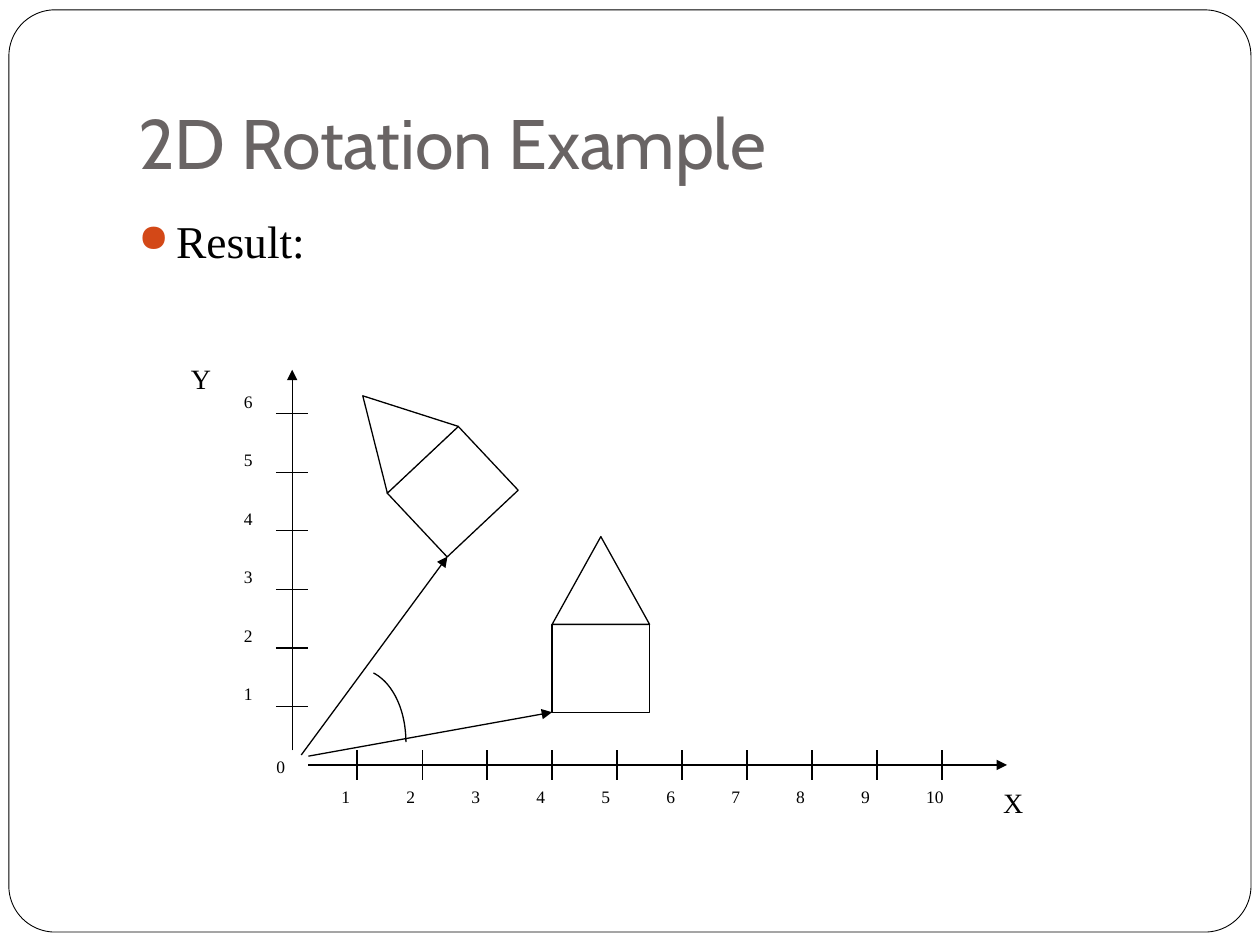
from dataclasses import dataclass

from pptx import Presentation
from pptx import util as u
from pptx.dml.color import RGBColor
from pptx.enum import shapes, text
from pptx.oxml import ns, xmlchemy

Cm, Pt = u.Cm, u.Pt
BLACK = RGBColor(0, 0, 0)
WHITE = RGBColor(0xFF, 0xFF, 0xFF)
GREY = RGBColor(0x69, 0x64, 0x64)
ORANGE = RGBColor(0xD3, 0x48, 0x17)
SERIF = "Times New Roman"
RECT = shapes.MSO_SHAPE.RECTANGLE
ROOF = shapes.MSO_SHAPE.ISOSCELES_TRIANGLE

# Graph units: origin and steps in cm
LEFT, BASE = 5.89, 15.42
STEP_X, STEP_Y = 1.31, 1.18
SIDE = 1.5
TICK = 0.25


@dataclass
class Line:
    x1: float
    y1: float
    x2: float
    y2: float
    arrow: bool = False


@dataclass
class Label:
    words: str
    x: float
    y: float
    size: float = 10


@dataclass
class Part:
    kind: shapes.MSO_SHAPE
    x: float  # centre, in graph units
    y: float
    turn: float = 0


def spot(x: float, y: float) -> tuple[int, int]:
    """Turn graph units into a place on the slide."""
    return Cm(LEFT + STEP_X * x), Cm(BASE - STEP_Y * y)


def add_xml(parent, tag: str, **attrs: str):
    child = xmlchemy.OxmlElement(tag)
    for key, value in attrs.items():
        child.set(key, value)
    parent.append(child)
    return child


def style(shape, width: float = 0.75) -> None:
    shape.shadow.inherit = False
    shape.fill.solid()
    shape.fill.fore_color.rgb = WHITE
    shape.line.color.rgb = BLACK
    shape.line.width = Pt(width)


def draw_text(slide, words: str, box: tuple, size: float,
              font: str = SERIF, color: RGBColor = BLACK):
    shape = slide.shapes.add_textbox(*box)
    frame = shape.text_frame
    frame.word_wrap = True
    frame.text = words
    face = frame.paragraphs[0].runs[0].font
    face.name, face.size, face.color.rgb = font, Pt(size), color
    return frame


def draw_label(slide, label: Label) -> None:
    box = (*spot(label.x, label.y), Cm(1.6), Cm(1))
    draw_text(slide, label.words, box, label.size)


def draw_line(slide, line: Line) -> None:
    item = slide.shapes.add_connector(
        shapes.MSO_CONNECTOR.STRAIGHT,
        *spot(line.x1, line.y1), *spot(line.x2, line.y2))
    item.line.color.rgb = BLACK
    item.line.width = Pt(0.75)
    props = item.element.find(ns.qn("p:spPr"))
    if line.arrow:
        add_xml(props.find(ns.qn("a:ln")), "a:tailEnd", type="triangle")
    add_xml(props, "a:effectLst")


def draw_part(slide, part: Part) -> None:
    half = SIDE / 2
    box = (*spot(part.x - half, part.y + half),
           Cm(SIDE * STEP_X), Cm(SIDE * STEP_Y))
    shape = slide.shapes.add_shape(part.kind, *box)
    shape.rotation = part.turn
    style(shape)


def draw_curve(slide, ends: list[tuple[float, float]], count: int = 24) -> None:
    """Draw a cubic curve through its four control points."""
    points = []
    for i in range(count + 1):
        t = i / count
        mix = ((1 - t) ** 3, 3 * t * (1 - t) ** 2, 3 * t * t * (1 - t), t ** 3)
        x = sum(m * p[0] for m, p in zip(mix, ends))
        y = sum(m * p[1] for m, p in zip(mix, ends))
        points.append(spot(x, y))
    maker = slide.shapes.build_freeform(*points[0])
    maker.add_line_segments(points[1:], close=False)
    shape = maker.convert_to_shape()
    style(shape)
    shape.fill.background()


def draw_head(slide) -> None:
    # Frame
    frame = slide.shapes.add_shape(
        shapes.MSO_SHAPE.ROUNDED_RECTANGLE,
        Cm(0.18), Cm(0.2), Cm(25.04), Cm(18.59))
    frame.adjustments[0] = 0.05
    style(frame, 0.5)

    # Bullet line
    body = draw_text(slide, "Result:",
                     (Cm(2.54), Cm(4.01), Cm(21.59), Cm(12.7)), 26)
    body.margin_top = Cm(0.28)
    props = body.paragraphs[0]._p.get_or_add_pPr()
    props.set("marL", str(Cm(0.76)))
    props.set("indent", str(Cm(-0.76)))
    tint = add_xml(props, "a:buClr")
    add_xml(tint, "a:srgbClr", val=str(ORANGE))
    add_xml(props, "a:buSzPct", val="85000")
    add_xml(props, "a:buChar", char="●")

    # Title
    title = draw_text(slide, "2D Rotation Example",
                      (Cm(2.54), Cm(0.76), Cm(21.59), Cm(3.18)),
                      40, "Cabin", GREY)
    title.vertical_anchor = text.MSO_ANCHOR.BOTTOM
    title.margin_bottom = Cm(0.25)


def draw_axes(slide) -> None:
    lines = [Line(0, TICK, 0, 6.75, True), Line(TICK, 0, 11, 0, True)]
    lines += [Line(n, TICK, n, -TICK) for n in range(1, 11)]
    lines += [Line(-TICK, n, TICK, n) for n in range(1, 7)]
    for line in lines:
        draw_line(slide, line)

    labels = [Label("Y", -1.75, 7, 16), Label("X", 10.75, -TICK, 16),
              Label(" 0", -0.5, TICK)]
    labels += [Label(f" {n}", n - 0.5, -TICK) for n in range(1, 11)]
    labels += [Label(f" {n}", -1, n + 0.5) for n in range(1, 7)]
    for label in labels:
        draw_label(slide, label)


def draw_houses(slide) -> None:
    turn = -43.2
    parts = [Part(RECT, 4.75, 1.65), Part(ROOF, 4.75, 3.15),
             Part(RECT, 2.47, 4.67, turn), Part(ROOF, 1.55, 5.76, turn)]
    for part in parts:
        draw_part(slide, part)
    # Arrows to the house corners, and the angle between them
    draw_line(slide, Line(0.25, 0.15, 4, 0.9, True))
    draw_line(slide, Line(0.14, 0.17, 2.39, 3.56, True))
    draw_curve(slide, [(1.25, 1.57), (1.55, 1.4), (1.75, 0.93), (1.75, 0.39)])


def main() -> None:
    deck = Presentation()
    deck.slide_width, deck.slide_height = Cm(25.4), Cm(19.05)
    slide = deck.slides.add_slide(deck.slide_layouts[6])
    draw_head(slide)
    draw_axes(slide)
    draw_houses(slide)
    deck.save("out.pptx")


if __name__ == "__main__":
    main()
